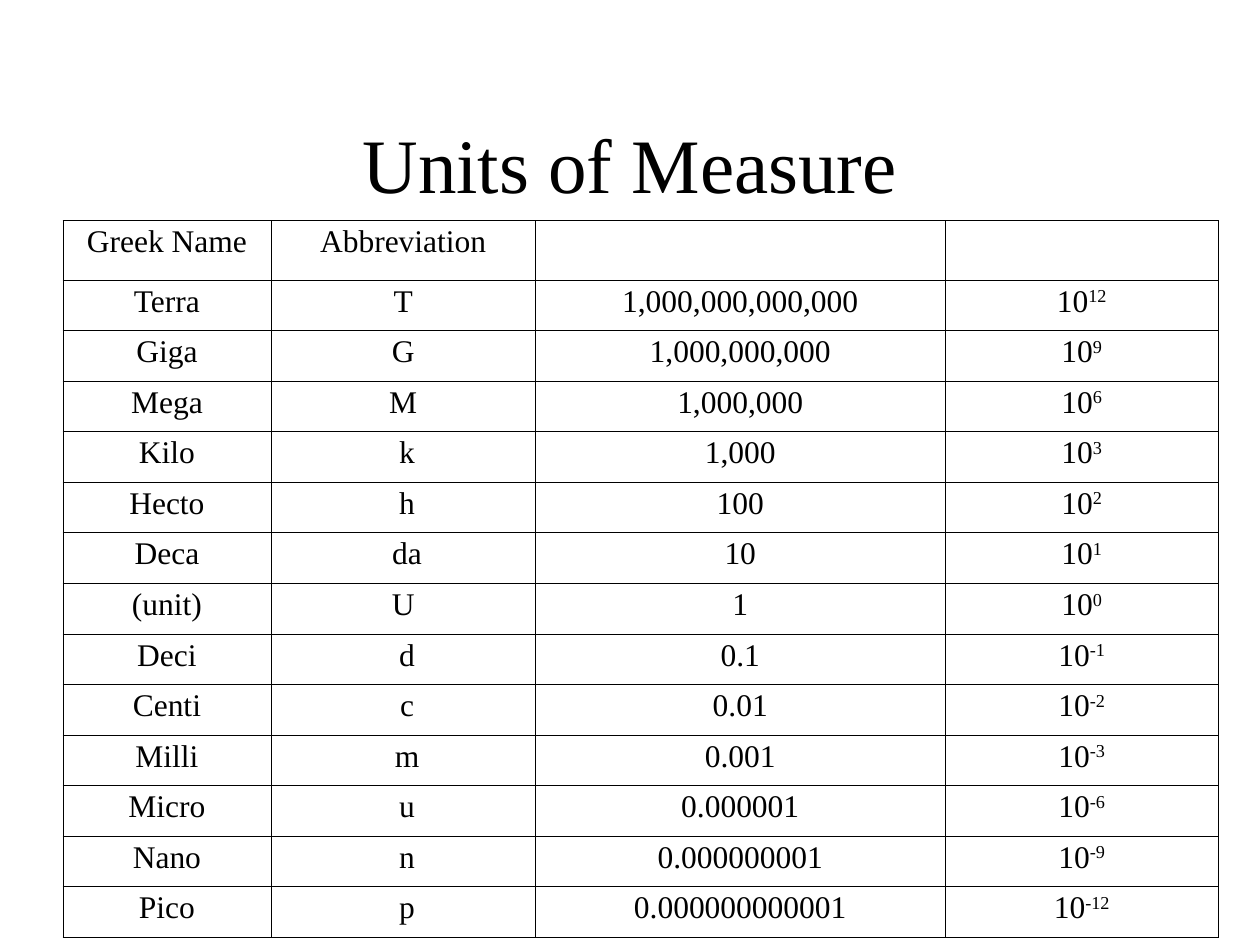
from lxml.etree import SubElement as Sub
from pptx import Presentation as Deck
from pptx.dml.color import RGBColor as Rgb
from pptx.enum.text import MSO_ANCHOR as Anchor, PP_ALIGN as Align
from pptx.oxml.ns import qn
from pptx.util import Inches, Pt

WIDE, HIGH = Inches(10), Inches(7.5)
INK = {"text": "000000", "line": "000000"}
FACE = "Times New Roman"
THIN, EDGE = 0.23, 0.5
COLS = (1.65, 2.1, 3.25, 2.17)
HEAD, ROW = 0.47, 0.4
UNITS = [
    ("Terra", "T", 12), ("Giga", "G", 9), ("Mega", "M", 6),
    ("Kilo", " k", 3), ("Hecto", " h", 2), ("Deca", " da", 1),
    ("(unit)", "U", 0), ("Deci", " d", -1), ("Centi", " c", -2),
    ("Milli", " m", -3), ("Micro", " u", -6), ("Nano", " n", -9),
    ("Pico", " p", -12),
]


def add_run(para, text, size, raised=False):
    run = para.add_run()
    run.text = text
    run.font.size, run.font.name = Pt(size), FACE
    run.font.color.rgb = Rgb.from_string(INK["text"])
    if raised:
        run.font._element.set("baseline", "30000")


def add_title(slide, box, text):
    title = slide.shapes.title
    title.left, title.top, title.width, title.height = box
    frame = title.text_frame
    frame.word_wrap, frame.vertical_anchor = True, Anchor.MIDDLE
    para = frame.paragraphs[0]
    para.alignment = Align.CENTER
    add_run(para, text, 44)


def rule_cell(cell, outer):
    """Draw the four borders; sides named in outer lie on the table's edge."""
    props = cell._tc.get_or_add_tcPr()
    for side in "LRTB":
        width = EDGE if side in outer else THIN
        line = Sub(props, qn(f"a:ln{side}"), w=str(int(Pt(width))))
        fill = Sub(line, qn("a:solidFill"))
        Sub(fill, qn("a:srgbClr"), val=INK["line"])
    cell.fill.background()


def fill_cell(cell, text, power):
    para = cell.text_frame.paragraphs[0]
    para.alignment = Align.CENTER
    para.line_spacing, para.space_before = 0.93, Pt(4.5)
    para.font.size, para.font.name = Pt(18), FACE
    if text:
        add_run(para, text, 18)
    if power:
        add_run(para, power, 18, raised=True)


def list_rows():
    """Give each row as pairs of text and superscript."""
    yield [("Greek Name", ""), ("Abbreviation", ""), ("", ""), ("", "")]
    for name, short, power in UNITS:
        value = f"{10 ** power:,}" if power >= 0 else f"{10 ** power:.{-power}f}"
        yield [(name, ""), (short, ""), (value, ""), ("10", str(power))]


def add_units(slide, box):
    rows = list(list_rows())
    table = slide.shapes.add_table(len(rows), len(COLS), *box).table
    table.first_row = table.horz_banding = False
    for col, share in zip(table.columns, COLS):
        col.width = int(box[2] * share / sum(COLS))
    total = HEAD + ROW * len(UNITS)
    for r, row in enumerate(rows):
        table.rows[r].height = int(box[3] * (ROW if r else HEAD) / total)
        for c, (text, power) in enumerate(row):
            sides = {"L": c == 0, "R": c == len(COLS) - 1,
                     "T": r == 0, "B": r == len(rows) - 1}
            cell = table.cell(r, c)
            rule_cell(cell, [side for side, on in sides.items() if on])
            fill_cell(cell, text, power)


def main():
    deck = Deck()
    deck.slide_width, deck.slide_height = WIDE, HIGH
    slide = deck.slides.add_slide(deck.slide_layouts[5])
    add_title(slide, (Inches(0.75), Inches(0.67), Inches(8.5), Inches(1.25)),
              "Units of Measure")
    add_units(slide, (Inches(0.5), Inches(1.75), Inches(9.17), Inches(5.69)))
    deck.save("out.pptx")


if __name__ == "__main__":
    main()
